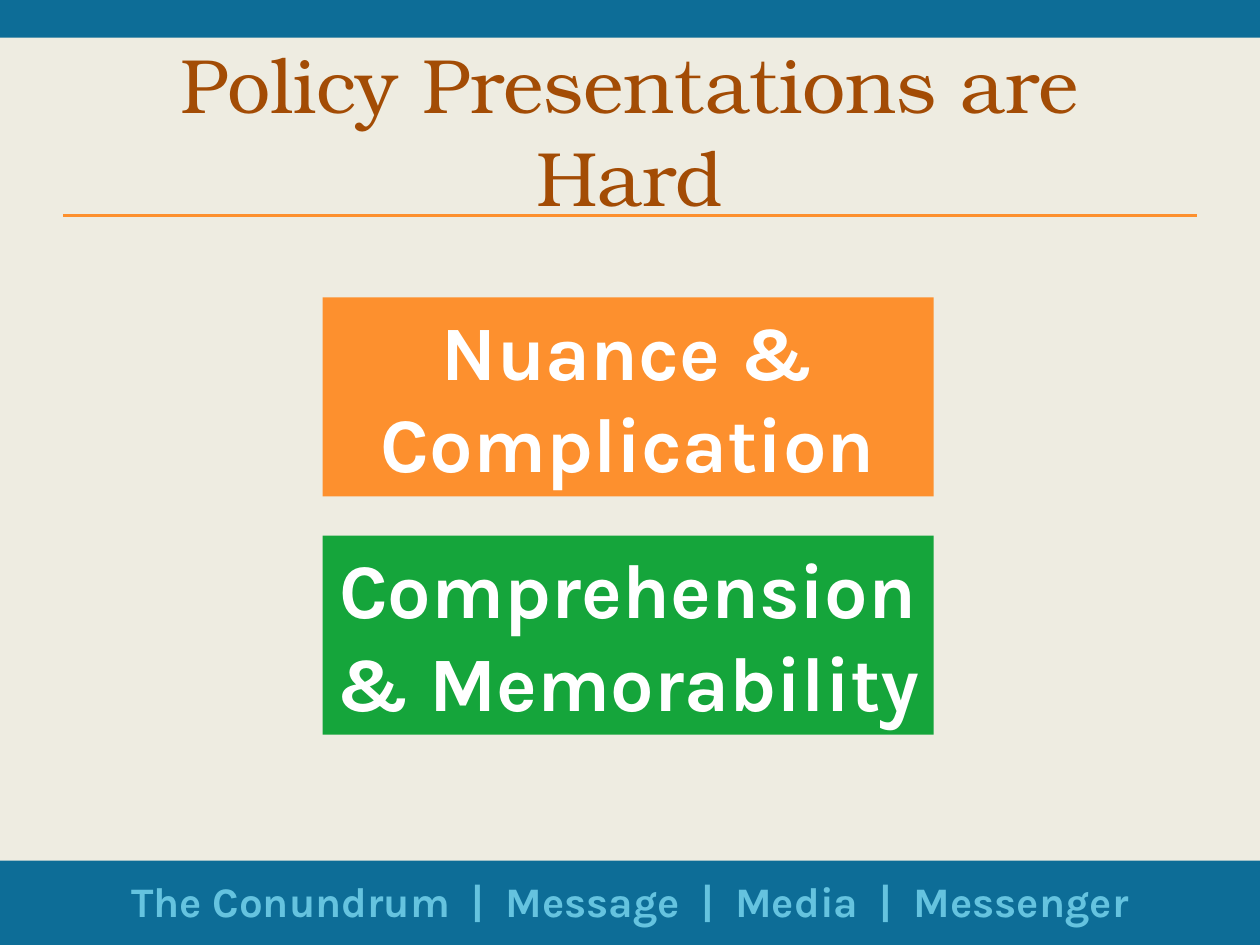
from lxml import etree
from pptx import Presentation
from pptx.dml.color import RGBColor
from pptx.enum.shapes import MSO_CONNECTOR, MSO_SHAPE
from pptx.enum.text import MSO_ANCHOR, MSO_AUTO_SIZE, PP_ALIGN
from pptx.oxml.ns import qn
from pptx.util import Inches, Pt

RECTANGLE = MSO_SHAPE.RECTANGLE
STRAIGHT = MSO_CONNECTOR.STRAIGHT
TOP, MIDDLE = MSO_ANCHOR.TOP, MSO_ANCHOR.MIDDLE
GROW, FIXED = MSO_AUTO_SIZE.SHAPE_TO_FIT_TEXT, MSO_AUTO_SIZE.NONE
CENTER = PP_ALIGN.CENTER

CREAM = RGBColor(0xEE, 0xEC, 0xE1)
BLUE = RGBColor(0x0D, 0x6D, 0x97)
LIGHT_BLUE = RGBColor(0x65, 0xC3, 0xDF)
ORANGE = RGBColor(0xFD, 0x90, 0x2E)
GREEN = RGBColor(0x15, 0xA5, 0x3B)
BROWN = RGBColor(0xA3, 0x4C, 0x05)
WHITE = RGBColor(0xFF, 0xFF, 0xFF)

TITLE_FONT = {"name": "TeX Gyre Bonum", "size": Pt(44)}
CARD_FONT = {"name": "Karla", "size": Pt(44), "bold": True}
FOOTER_FONT = {"name": "Karla", "size": Pt(24), "bold": True}


def write_text(box, text, font, color, anchor=TOP, auto_size=GROW):
    frame = box.text_frame
    settings = {"word_wrap": True, "auto_size": auto_size, "vertical_anchor": anchor}
    for name, value in settings.items():
        setattr(frame, name, value)
    para = frame.paragraphs[0]
    para.alignment = CENTER
    span = para.add_run()
    span.text = text
    for name, value in font.items():
        setattr(span.font, name, value)
    span.font.color.rgb = color


def add_block(slide, left, top, width, height, color):
    block = slide.shapes.add_shape(
        RECTANGLE, Inches(left), Inches(top), Inches(width), Inches(height))
    block.shadow.inherit = False
    block.fill.solid()
    block.fill.fore_color.rgb = color
    block.line.fill.background()
    return block


def add_label(slide, left, top, width, height):
    return slide.shapes.add_textbox(
        Inches(left), Inches(top), Inches(width), Inches(height))


def add_rule(slide, left, right, top, color, weight):
    rule = slide.shapes.add_connector(
        STRAIGHT, Inches(left), Inches(top), Inches(right), Inches(top))
    rule.line.color.rgb = color
    rule.line.width = Pt(weight)
    etree.SubElement(rule.element.spPr, qn("a:effectLst"))


def main():
    deck = Presentation()
    deck.slide_width, deck.slide_height = Inches(10), Inches(7.5)
    slide = deck.slides.add_slide(deck.slide_layouts[6])
    slide.background.fill.solid()
    slide.background.fill.fore_color.rgb = CREAM

    # Bands and title rule
    add_block(slide, 0, 6.83, 10, 0.67, BLUE)
    add_block(slide, 0, 0, 10, 0.3, BLUE)
    add_rule(slide, 0.5, 9.5, 1.71, ORANGE, 2)

    # Title
    title = add_label(slide, 0.5, 0.5, 9, 1.05)
    write_text(title, "Policy Presentations are Hard", TITLE_FONT, BROWN, MIDDLE, FIXED)

    # Two opposing demands
    cards = [("Nuance & Complication", ORANGE), ("Comprehension & Memorability", GREEN)]
    for index, (text, color) in enumerate(cards):
        card = add_block(slide, 2.56, 2.36 + index * 1.89, 4.85, 1.58, color)
        write_text(card, text, CARD_FONT, WHITE)

    # Section names in the footer
    footer = add_label(slide, 0.5, 6.9, 9, 0.5)
    sections = ["The Conundrum", "Message", "Media", "Messenger"]
    write_text(footer, "  |  ".join(sections), FOOTER_FONT, LIGHT_BLUE)

    deck.save("out.pptx")


if __name__ == "__main__":
    main()
